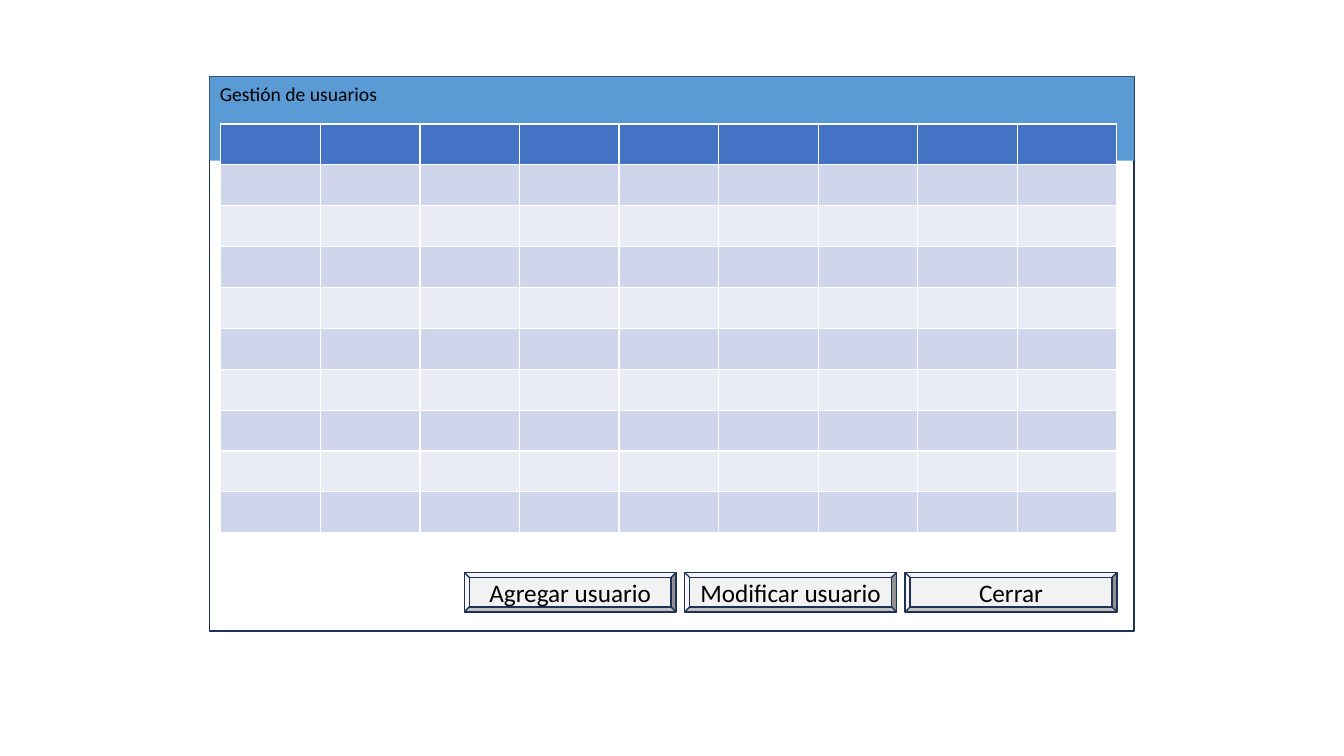
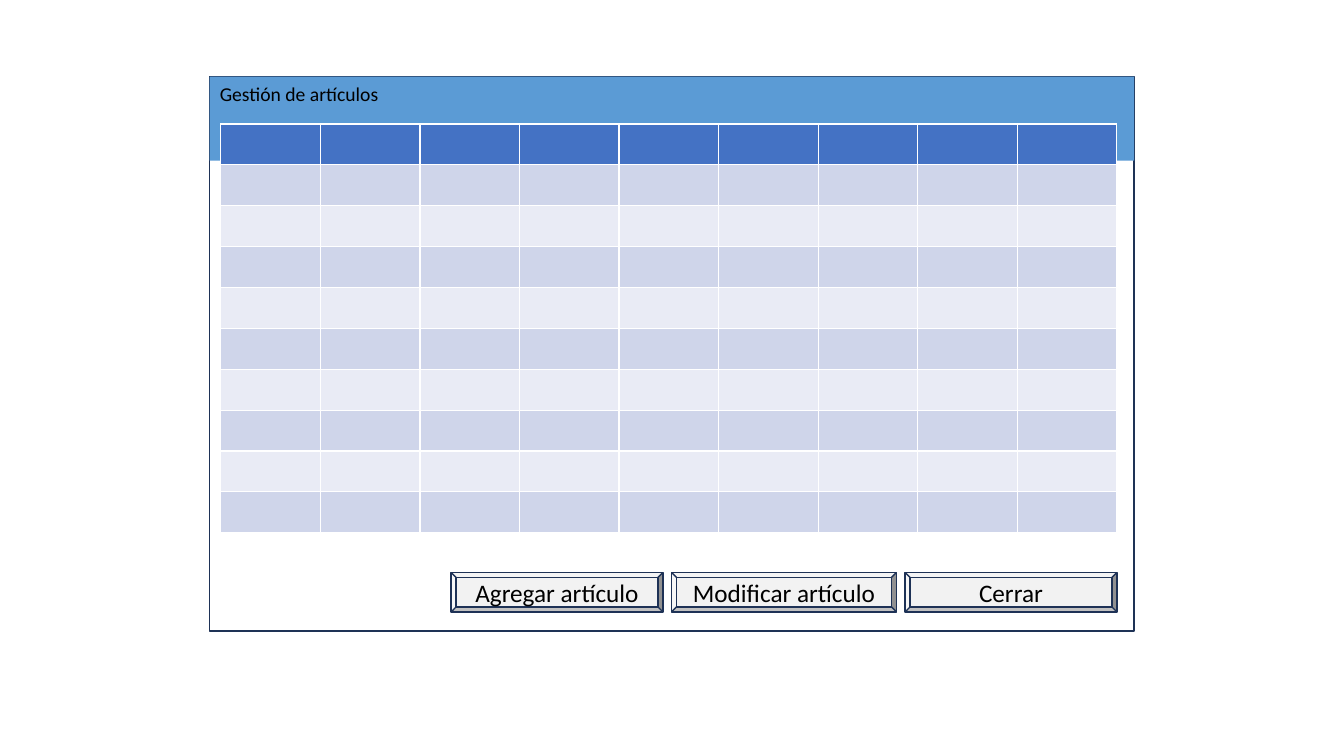
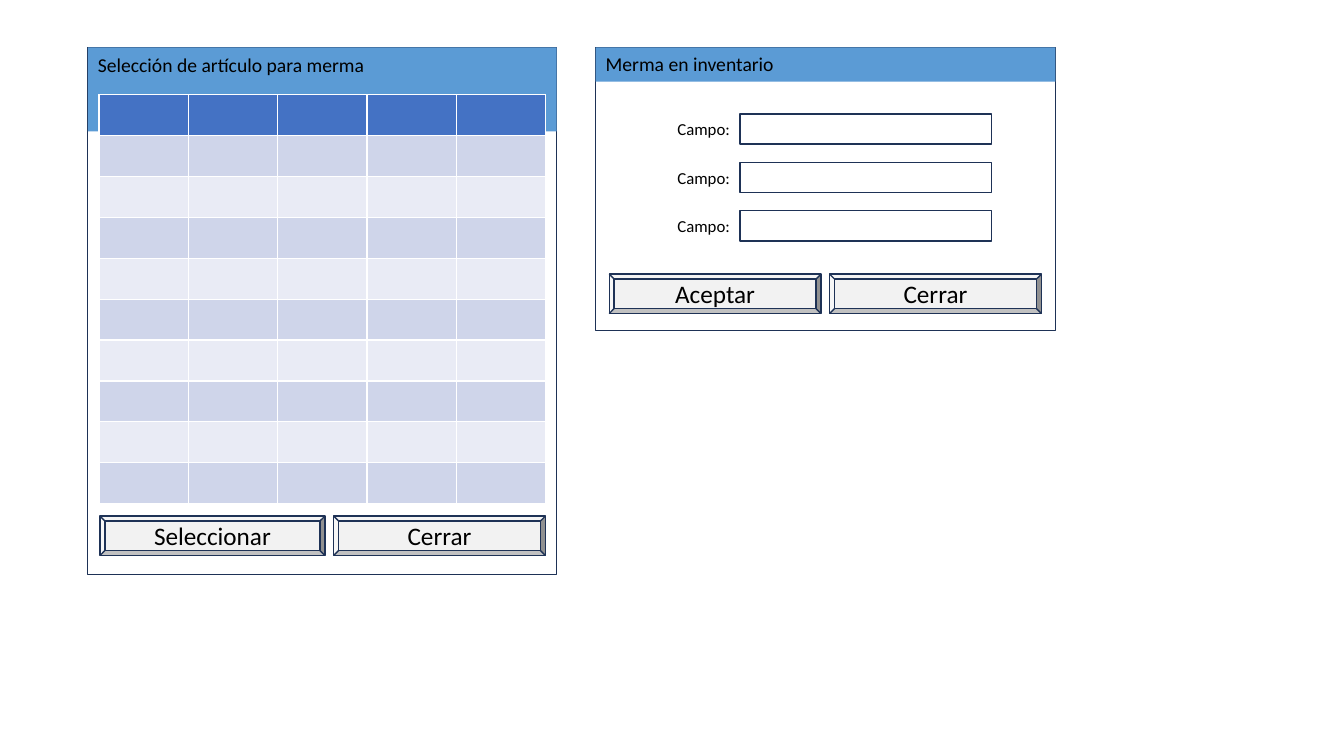
from pptx import Presentation
from pptx.dml.color import RGBColor
from pptx.enum.shapes import MSO_SHAPE
from pptx.enum.text import MSO_ANCHOR, MSO_AUTO_SIZE, PP_ALIGN
from pptx.util import Inches, Pt

# Shared look
BAR, BUTTON, OUTLINE, INK = "5B9BD5", "F2F2F2", "1E3256", "000000"
HEADER, BANDS = "4472C4", ("E9EBF5", "CFD5EA")
FONT = "Calibri"

deck = Presentation()
deck.slide_width, deck.slide_height = Inches(13.33), Inches(7.5)

# All lengths below are percentages of the slide's width or height
COL, ROW = deck.slide_width / 100, deck.slide_height / 100
BAR_HEIGHT = 4.53
TABLE_INSET, TABLE_DROP, TABLE_ROWS, TABLE_ROW = 0.83, 6.27, 10, 5.41
BUTTON_HEIGHT, BUTTON_GAP, NORMAL, WIDE = 5.2, 0.65, 15.75, 16.73
FIELD_LEFT, FIELD_TOP, FIELD_WIDTH, FIELD_HEIGHT, FIELD_STEP = 55.05, 15.07, 18.75, 4, 6.4
LABEL_WIDTH = 6.98


def color(hex_code):
    return RGBColor.from_string(hex_code)


def style(shape, left, top, width, height, fill=None, line=None, text="",
          size=18, align=PP_ALIGN.CENTER, anchor=MSO_ANCHOR.MIDDLE):
    """Place a shape on the percentage grid and set its fill, outline and text."""
    shape.left, shape.width = round(left * COL), round(width * COL)
    shape.top, shape.height = round(top * ROW), round(height * ROW)
    if fill:
        shape.fill.solid()
        shape.fill.fore_color.rgb = color(fill)
    else:
        shape.fill.background()
    if line:
        shape.line.color.rgb = color(line)
        shape.line.width = Pt(1)
    else:
        shape.line.fill.background()
    shape.shadow.inherit = False
    if text:
        frame = shape.text_frame
        frame.text = text
        frame.vertical_anchor = anchor
        frame.word_wrap = False if fill == BUTTON else True
        frame.auto_size = (MSO_AUTO_SIZE.SHAPE_TO_FIT_TEXT if anchor == MSO_ANCHOR.TOP
                           else MSO_AUTO_SIZE.NONE)
        paragraph = frame.paragraphs[0]
        paragraph.alignment = align
        paragraph.font.name, paragraph.font.size = FONT, Pt(size)
        paragraph.font.color.rgb = color(INK)


# Each window: title, place, table columns and their width, form fields,
# right margin and top of the buttons, buttons from right to left
MANAGER = (15.6, 10.13, 68.78, 73.33)
screens = [
    [("Gestión de usuarios", MANAGER, 9, 7.41, [], 1.28, 75.73,
      [("Cerrar", NORMAL), ("Modificar usuario", NORMAL), ("Agregar usuario", NORMAL)])],
    [("Gestión de artículos", MANAGER, 9, 7.41, [], 1.28, 75.73,
      [("Cerrar", NORMAL), ("Modificar artículo", WIDE), ("Agregar artículo", NORMAL)])],
    [("Selección de artículo para merma", (6.53, 6.27, 34.88, 69.73), 5, 6.65, [], 0.83, 68.27,
      [("Cerrar", NORMAL), ("Seleccionar", WIDE)]),
     ("Merma en inventario", (44.33, 6.27, 34.2, 37.47), 0, 0, ["Campo:"] * 3, 1.05, 36.27,
      [("Cerrar", NORMAL), ("Aceptar", NORMAL)])],
]

for windows in screens:
    slide = deck.slides.add_slide(deck.slide_layouts[5])
    shapes = slide.shapes
    for number, window in enumerate(windows):
        title, place, columns, column_width, fields, margin, button_top, buttons = window
        left, top, width, height = place

        # Window outline and title bar; the first bar is the slide's title
        outline = shapes.add_shape(MSO_SHAPE.RECTANGLE, 0, 0, 0, 0)
        style(outline, *place, line=OUTLINE)
        if number == 0:
            title_bar = shapes.title
            outline.element.addnext(title_bar.element)
        else:
            title_bar = shapes.add_shape(MSO_SHAPE.RECTANGLE, 0, 0, 0, 0)
        style(title_bar, left, top, width, BAR_HEIGHT, fill=BAR, text=title,
              size=14, align=PP_ALIGN.LEFT, anchor=MSO_ANCHOR.TOP)

        # Buttons, set from the right edge
        button_right = left + width - margin
        for caption, button_width in buttons:
            button = shapes.add_shape(MSO_SHAPE.BEVEL, 0, 0, 0, 0)
            style(button, button_right - button_width, button_top, button_width,
                  BUTTON_HEIGHT, fill=BUTTON, line=OUTLINE, text=caption)
            button_right -= button_width + BUTTON_GAP

        # Empty banded table
        if columns:
            records = shapes.add_table(
                TABLE_ROWS, columns,
                round((left + TABLE_INSET) * COL), round((top + TABLE_DROP) * ROW),
                round(columns * column_width * COL), round(TABLE_ROWS * TABLE_ROW * ROW)).table
            for index, record in enumerate(records.rows):
                for cell in record.cells:
                    cell.fill.solid()
                    cell.fill.fore_color.rgb = color(BANDS[index % 2] if index else HEADER)

        # Form fields with their labels
        for index, label in enumerate(fields):
            field_top = FIELD_TOP + index * FIELD_STEP
            style(shapes.add_textbox(0, 0, 0, 0), FIELD_LEFT - LABEL_WIDTH, field_top,
                  LABEL_WIDTH, FIELD_HEIGHT, text=label, size=12,
                  align=PP_ALIGN.RIGHT, anchor=MSO_ANCHOR.TOP)
            style(shapes.add_shape(MSO_SHAPE.RECTANGLE, 0, 0, 0, 0), FIELD_LEFT, field_top,
                  FIELD_WIDTH, FIELD_HEIGHT, line=OUTLINE)

deck.save("out.pptx")
